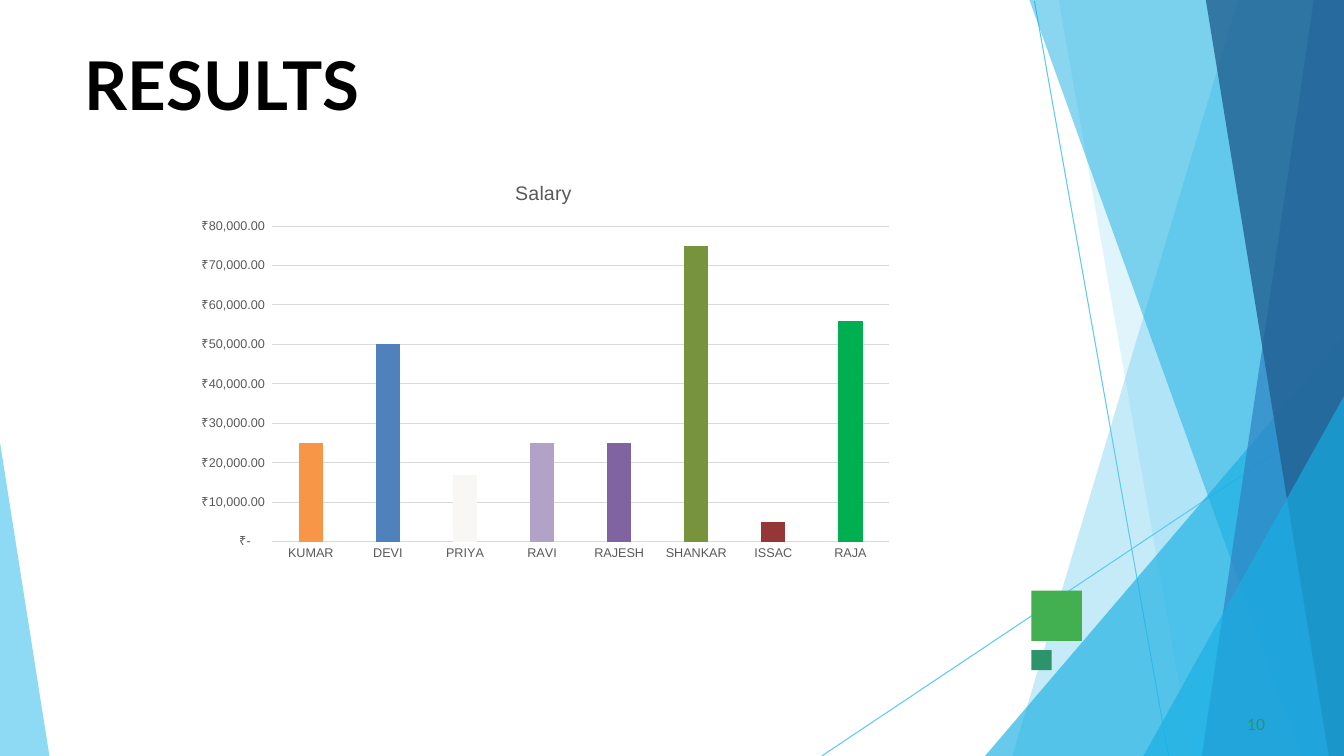
from dataclasses import dataclass

from lxml import etree
from pptx import Presentation
from pptx.chart.data import CategoryChartData
from pptx.dml.color import RGBColor
from pptx.enum.chart import XL_CHART_TYPE, XL_TICK_MARK
from pptx.enum.shapes import MSO_CONNECTOR, MSO_SHAPE
from pptx.oxml.ns import qn
from pptx.util import Inches, Pt

COLUMN_CLUSTERED = XL_CHART_TYPE.COLUMN_CLUSTERED
NO_TICK = XL_TICK_MARK.NONE
STRAIGHT = MSO_CONNECTOR.STRAIGHT
RECTANGLE = MSO_SHAPE.RECTANGLE

WIDTH, HEIGHT = 13.33, 7.5


@dataclass(frozen=True)
class Theme:
    sky: str = "5FCAEE"
    cyan: str = "17AFE3"
    blue: str = "2D83C3"
    navy: str = "226192"
    green: str = "42AF51"
    teal: str = "2D936B"
    title: str = "000000"
    chart_text: str = "595959"
    grid: str = "D9D9D9"
    text_font: str = "Lato"
    chart_font: str = "Arial"
    title_size: int = 48
    number_size: int = 11
    chart_title_size: int = 14
    axis_size: int = 9
    line_width: float = 0.75


THEME = Theme()

# Background facets: colour, opacity in percent, corner points
FACETS = [
    (THEME.sky, 36, [(WIDTH, 0), (12.28, 0), (10.04, HEIGHT), (WIDTH, HEIGHT)]),
    (THEME.sky, 20, [(WIDTH, 0), (10.5, 0), (11.82, HEIGHT), (WIDTH, HEIGHT)]),
    (THEME.cyan, 65, [(WIDTH, 3.33), (9.77, HEIGHT), (WIDTH, HEIGHT)]),
    (THEME.cyan, 50, [(WIDTH, 0), (10.21, 0), (12.91, HEIGHT), (WIDTH, HEIGHT)]),
    (THEME.blue, 70, [(WIDTH, 0), (13.03, 0), (11.92, HEIGHT), (WIDTH, HEIGHT)]),
    (THEME.navy, 80, [(WIDTH, 0), (11.96, 0), (13.18, HEIGHT), (WIDTH, HEIGHT)]),
    (THEME.cyan, 65, [(WIDTH, 3.93), (11.34, HEIGHT), (WIDTH, HEIGHT)]),
    (THEME.sky, 70, [(0, 4.39), (0, HEIGHT), (0.49, HEIGHT)]),
]

# Salary chart: employee, salary, column colour
SALARIES = [
    ("KUMAR", 25000, "F79646"),
    ("DEVI", 50000, "4F81BD"),
    ("PRIYA", 17000, "F8F7F3"),
    ("RAVI", 25000, "B3A2C7"),
    ("RAJESH", 25000, "8064A2"),
    ("SHANKAR", 75000, "77933C"),
    ("ISSAC", 5000, "953735"),
    ("RAJA", 56000, "00B050"),
]
RUPEES = '_("₹"* #,##0.00_);_("₹"* \\(#,##0.00\\);_("₹"* "-"??_);_(@_)'


def color(value):
    return RGBColor.from_string(value)


def set_font(font, name, size, value, bold=False):
    font.name = name
    font.size = Pt(size)
    font.bold = bold
    font.color.rgb = color(value)


def set_line(line, value):
    line.color.rgb = color(value)
    line.width = Pt(THEME.line_width)


def set_fill(shape, value):
    shape.shadow.inherit = False
    shape.fill.solid()
    shape.fill.fore_color.rgb = color(value)
    shape.line.fill.background()


def add_line(slide, start, end):
    connector = slide.shapes.add_connector(
        STRAIGHT, *(Inches(value) for value in start + end))
    set_line(connector.line, THEME.sky)
    etree.SubElement(connector.element.spPr, qn("a:effectLst"))


def add_facet(slide, value, opacity, points):
    corners = [(Inches(x), Inches(y)) for x, y in points]
    builder = slide.shapes.build_freeform(*corners[0])
    builder.add_line_segments(corners[1:], close=True)
    shape = builder.convert_to_shape()
    set_fill(shape, value)
    fill_color = shape.element.spPr.find(f"{qn('a:solidFill')}/{qn('a:srgbClr')}")
    etree.SubElement(fill_color, qn("a:alpha"), val=str(opacity * 1000))


def add_square(slide, left, top, side, value):
    shape = slide.shapes.add_shape(
        RECTANGLE, Inches(left), Inches(top), Inches(side), Inches(side))
    set_fill(shape, value)


def add_text(slide, text, box, size, value, indent, bold=False):
    shape = slide.shapes.add_textbox(*(Inches(length) for length in box))
    frame = shape.text_frame
    frame.word_wrap = True
    frame.margin_left = frame.margin_right = frame.margin_bottom = 0
    frame.margin_top = Inches(0.01)
    frame.text = text
    paragraph = frame.paragraphs[0]
    paragraph._p.get_or_add_pPr().set("marL", str(Inches(indent)))
    set_font(paragraph.runs[0].font, THEME.text_font, size, value, bold)


def style_axis(axis):
    axis.major_tick_mark = axis.minor_tick_mark = NO_TICK
    set_font(axis.tick_labels.font, THEME.chart_font, THEME.axis_size,
             THEME.chart_text)


def add_salary_chart(slide):
    names, amounts, colors = zip(*SALARIES)
    data = CategoryChartData(number_format=RUPEES)
    data.categories = names
    data.add_series(" Salary ", amounts)
    chart = slide.shapes.add_chart(
        COLUMN_CLUSTERED, Inches(1.82), Inches(1.62), Inches(7.14),
        Inches(4.02), data).chart
    chart.has_legend = False

    # Title
    chart.has_title = True
    chart.chart_title.include_in_layout = False
    title = chart.chart_title.text_frame
    title.text = " Salary "
    set_font(title.paragraphs[0].runs[0].font, THEME.chart_font,
             THEME.chart_title_size, THEME.chart_text)

    # Axes
    style_axis(chart.category_axis)
    set_line(chart.category_axis.format.line, THEME.grid)
    value_axis = chart.value_axis
    style_axis(value_axis)
    value_axis.minimum_scale = 0
    value_axis.maximum_scale = 80000
    value_axis.major_unit = 10000
    value_axis.format.line.fill.background()
    set_line(value_axis.major_gridlines.format.line, THEME.grid)
    value_axis.tick_labels.number_format = RUPEES
    value_axis.tick_labels.number_format_is_linked = False

    # Columns
    plot = chart.plots[0]
    plot.gap_width = 219
    plot.overlap = -27
    plot.vary_by_categories = False
    for index, value in enumerate(colors):
        fill = plot.series[0].points[index].format.fill
        fill.solid()
        fill.fore_color.rgb = color(value)


def main():
    presentation = Presentation()
    presentation.slide_width = Inches(WIDTH)
    presentation.slide_height = Inches(HEIGHT)
    slide = presentation.slides.add_slide(presentation.slide_layouts[6])

    # Background
    add_line(slide, (10.26, 0.01), (11.59, HEIGHT))
    add_line(slide, (WIDTH, 4.04), (8.15, HEIGHT))
    for value, opacity, points in FACETS:
        add_facet(slide, value, opacity, points)
    add_square(slide, 10.23, 5.86, 0.5, THEME.green)
    add_square(slide, 10.23, 6.45, 0.2, THEME.teal)

    # Content
    add_text(slide, "RESULTS", (0.83, 0.42, 3.08, 0.83), THEME.title_size,
             THEME.title, 0.01, bold=True)
    add_text(slide, "10", (12.33, 7.08, 0.25, 0.21), THEME.number_size,
             THEME.teal, 0.04)
    add_salary_chart(slide)

    presentation.save("out.pptx")


if __name__ == "__main__":
    main()
